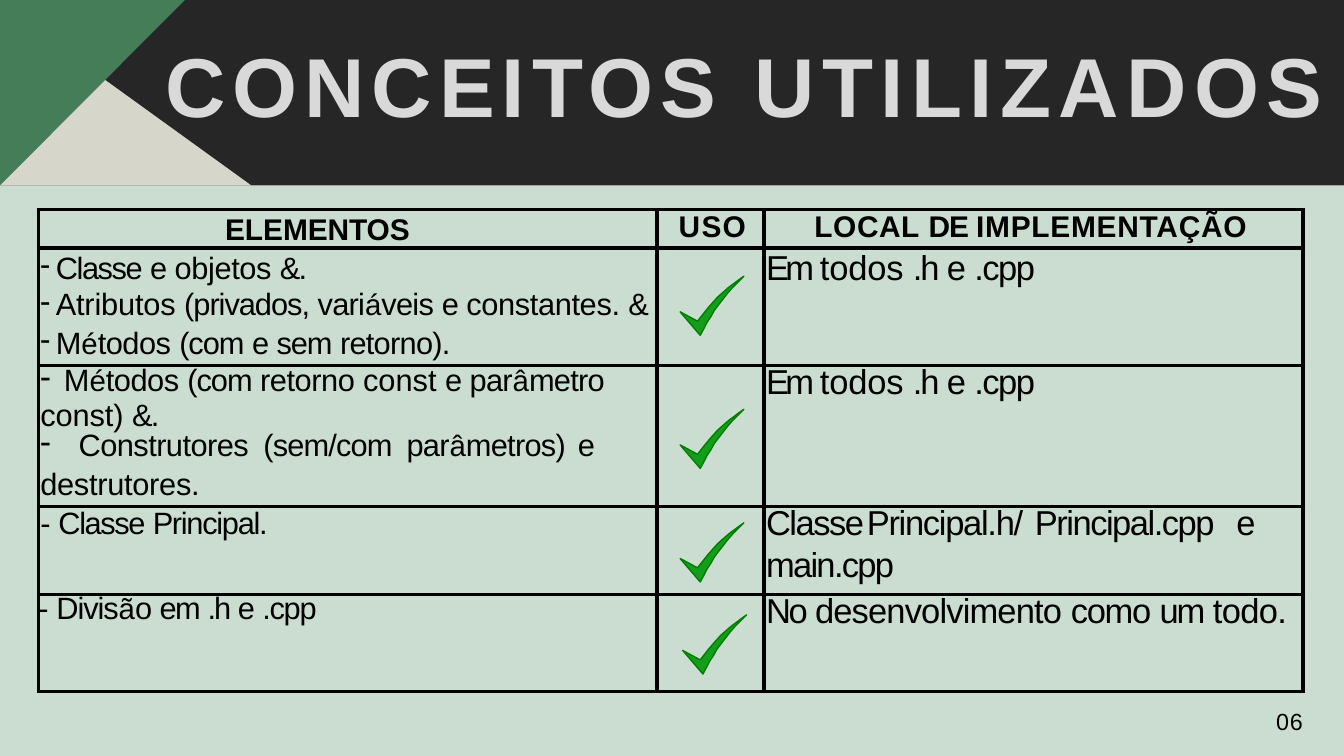
from dataclasses import dataclass
from itertools import groupby
from typing import NamedTuple, Optional

from lxml import etree
from pptx import Presentation
from pptx.dml.color import RGBColor
from pptx.enum.shapes import MSO_SHAPE
from pptx.enum.text import MSO_ANCHOR, MSO_AUTO_SIZE, PP_ALIGN
from pptx.oxml.ns import qn
from pptx.util import Inches, Pt

RECT = MSO_SHAPE.RECTANGLE
TOP = MSO_ANCHOR.TOP
GROW = MSO_AUTO_SIZE.SHAPE_TO_FIT_TEXT
LEFT, CENTER = PP_ALIGN.LEFT, PP_ALIGN.CENTER


@dataclass(frozen=True)
class Theme:
    mint: str = "CBDDD0"
    dark: str = "262626"
    cream: str = "F5F5E8"
    green: str = "457D58"
    tick: str = "129D1B"
    tick_edge: str = "007E00"
    title: str = "D9D9D9"
    ink: str = "000000"
    font: str = "Arial"
    title_size: float = 89.5
    head_size: float = 32
    item_size: float = 33
    accent_size: float = 31.5
    place_size: float = 37
    number_size: float = 25
    border: float = 4.25


T = Theme()


class Style(NamedTuple):
    size: float
    color: str = T.ink
    bold: bool = False
    accent: Optional[float] = None  # size of accented letters


TITLE = Style(T.title_size, T.title, True)
HEAD = Style(T.head_size, bold=True)
ITEM = Style(T.item_size, accent=T.accent_size)
PLACE = Style(T.place_size)
NUMBER = Style(T.number_size)


class Para(NamedTuple):
    runs: list  # (text, letter spacing in points)
    left: float = 0.03
    hang: float = 0
    line: Optional[float] = None
    before: float = 0
    bullet: Optional[int] = None  # dash size in percent
    tabs: tuple = ()
    align: PP_ALIGN = LEFT
    right: float = 0


class Cell(NamedTuple):
    style: Style
    paras: list
    top: float = 0


def rgb(value: str) -> RGBColor:
    return RGBColor.from_string(value)


def add_runs(p, runs: list, style: Style) -> None:
    for text, spacing in runs:
        for accented, chars in groupby(text, lambda c: style.accent is not None and c in "áâãé"):
            r = p.add_run()
            r.text = "".join(chars)
            r.font.size = Pt(style.accent if accented else style.size)
            r.font.name, r.font.bold = T.font, style.bold
            r.font.color.rgb = rgb(style.color)
            r.font._element.set("spc", str(round(spacing * 100)))


def write(tf, paras: list, style: Style) -> None:
    for i, para in enumerate(paras):
        p = tf.paragraphs[0] if i == 0 else tf.add_paragraph()
        p.alignment = para.align
        p.space_before = Pt(para.before)
        if para.line:
            p.line_spacing = Pt(para.line)
        pPr = p._p.get_or_add_pPr()
        for name, inches in (("marL", para.left), ("marR", para.right), ("indent", para.hang)):
            pPr.set(name, str(Inches(inches)))
        if para.bullet:
            etree.SubElement(pPr, qn("a:buSzPct")).set("val", str(para.bullet * 1000))
            etree.SubElement(pPr, qn("a:buChar")).set("char", "-")
        if para.tabs:
            tabs = etree.SubElement(pPr, qn("a:tabLst"))
            for pos in para.tabs:
                etree.SubElement(tabs, qn("a:tab"), pos=str(Inches(pos)), algn="l")
        add_runs(p, para.runs, style)


def paint(sp, fill: str, edge: Optional[str] = None, alpha: Optional[int] = None) -> None:
    sp.shadow.inherit = False
    sp.fill.solid()
    sp.fill.fore_color.rgb = rgb(fill)
    if alpha:
        color = sp._element.spPr.find(".//" + qn("a:srgbClr"))
        etree.SubElement(color, qn("a:alpha")).set("val", str(alpha * 1000))
    if edge:
        sp.line.color.rgb, sp.line.width = rgb(edge), Pt(1.5)
    else:
        sp.line.fill.background()


def add_rect(s, top: float, height: float, fill: str) -> None:
    paint(s.shapes.add_shape(RECT, 0, Inches(top), Inches(20), Inches(height)), fill)


def add_polygon(s, points: list, fill: str, edge: Optional[str] = None,
                alpha: Optional[int] = None) -> None:
    corners = [(Inches(x), Inches(y)) for x, y in points]
    builder = s.shapes.build_freeform(*corners[0])
    builder.add_line_segments(corners[1:], close=True)
    paint(builder.convert_to_shape(), fill, edge, alpha)


def setup_frame(tf, top: float) -> None:
    tf.margin_left = tf.margin_right = tf.margin_bottom = 0
    tf.margin_top = Inches(top)
    tf.vertical_anchor = TOP
    tf.word_wrap = True
    tf.auto_size = GROW


def border_cell(cell) -> None:
    tcPr = cell._tc.get_or_add_tcPr()
    for i, side in enumerate(("lnL", "lnR", "lnT", "lnB")):
        ln = etree.Element(qn("a:" + side), w=str(Pt(T.border)))
        fill = etree.SubElement(ln, qn("a:solidFill"))
        etree.SubElement(fill, qn("a:srgbClr")).set("val", T.ink)
        tcPr.insert(i, ln)


def add_grid(s, rows: list) -> None:
    widths, heights = (9.21, 1.59, 8.02), (0.57, 1.75, 2.1, 1.31, 1.44)
    tbl = s.shapes.add_table(len(heights), len(widths), Inches(0.57), Inches(3.12),
                             Inches(sum(widths)), Inches(sum(heights))).table
    tbl.first_row = tbl.horz_banding = False
    for col, width in zip(tbl.columns, widths):
        col.width = Inches(width)
    for row, height, contents in zip(tbl.rows, heights, rows):
        row.height = Inches(height)
        for cell, content in zip(row.cells, contents):
            if content:
                cell.fill.solid()
                cell.fill.fore_color.rgb = rgb(T.mint)
                cell.margin_left = cell.margin_right = cell.margin_bottom = 0
                cell.margin_top = Inches(content.top)
                write(cell.text_frame, content.paras, content.style)
            else:
                cell.fill.background()
            border_cell(cell)


# Tick outline, relative to its top left corner
TICK = [(0, 0.53), (0.3, 0.88), (0.35, 0.79), (0.4, 0.69), (0.46, 0.6), (0.51, 0.51),
        (0.57, 0.43), (0.64, 0.34), (0.71, 0.25), (0.78, 0.17), (0.86, 0.09), (0.95, 0),
        (0.88, 0.05), (0.8, 0.11), (0.72, 0.17), (0.64, 0.24), (0.56, 0.31), (0.48, 0.4),
        (0.41, 0.48), (0.33, 0.58), (0.26, 0.67)]
TICK_SPOTS = [(10.12, 4.11), (10.12, 6.09), (10.12, 7.78), (10.16, 9.15)]

ALL_FILES = [("Em ", -4), ("todos ", -0.2), (".h ", -2.4), ("e ", -1.4), (".cpp", -1.6)]

ROWS = [
    [Cell(HEAD, [Para([("ELEMENTOS", -0.1)], 0, line=36.8, before=3.5, align=CENTER, right=0.9)], 0.05),
     Cell(HEAD, [Para([("USO", 1.3)], 0.32, before=0.8)], 0.01),
     Cell(HEAD, [Para([("LOCAL ", 0.6), ("DE ", -1.2), ("IMPLEMENTAÇÃO", 0.8)], 0.75, before=0.5)], 0.01)],
    [Cell(ITEM, [
        Para([("Classe ", -1.5), ("e ", -1.3), ("objetos ", -0.4), ("&.", -1.9)],
             0.26, -0.23, 38.8, 2.1, 94, (0.26,)),
        Para([("Atributos ", -0.2), ("(privados, ", -1.1), ("variáveis ", -0.8), ("e ", -1.3),
              ("constantes. ", -0.4), ("&", -1.2)], 0.26, -0.23, 38.8, 0, 95, (0.26,)),
        Para([("Métodos ", -0.5), ("(com ", -1.1), ("e ", -1.3), ("sem ", -1.2), ("retorno).", -0.8)],
             0.26, -0.23, None, 4.4, 95, (0.26,))], 0.03),
     None,
     Cell(PLACE, [Para(ALL_FILES, before=1.2)], 0.02)],
    [Cell(ITEM, [
        Para([("Métodos ", -0.5), ("(com ", -1.1), ("retorno ", -0.5), ("const ", 0), ("e ", -1.3),
              ("parâmetro", -0.8)], 0.38, -0.35, 35.2, 0, 100, (0.38,)),
        Para([("const) ", -0.1), ("&.", -1.9)], line=32.5, before=4.3),
        Para([("Construtores\t", -0.6), ("(sem/com\t", -0.9), ("parâmetros)\t", -0.8), ("e", -1.3)],
             0.6, -0.57, 32.5, 0, 100, (0.6, 3.35, 5.48, 8.03)),
        Para([("destrutores.", -0.3)], before=4.3)]),
     None,
     Cell(PLACE, [Para(ALL_FILES, line=38.5)])],
    [Cell(ITEM, [Para([("- ", -0.7), ("Classe ", -1.5), ("Principal.", -1.4)], line=37.2)]),
     None,
     Cell(PLACE, [
         Para([("Classe\t", -1.6), ("Principal.h/\t", -1.4), ("Principal.cpp\t", -1.6), ("e", -1.4)],
              line=38.5, tabs=(1.83, 4.51, 7.55)),
         Para([("main.cpp", -1.8)], before=4.3)])],
    [Cell(ITEM, [Para([("- ", -0.7), ("Divisão ", -1.2), ("em ", -1.8), (".h ", -2.1), ("e ", -1.3),
                       (".cpp", -1.4)], 0, line=33.4)]),
     None,
     Cell(PLACE, [Para([("No ", -2.5), ("desenvolvimento ", -0.9), ("como ", -1.4), ("um ", -2.2),
                        ("todo.", -0.7)], line=38.5)])],
]


def main() -> None:
    prs = Presentation()
    prs.slide_width, prs.slide_height = Inches(20), Inches(11.25)
    s = prs.slides.add_slide(prs.slide_layouts[5])

    # Backdrop and header band
    add_rect(s, 2.76, 8.49, T.mint)
    add_rect(s, 0, 2.76, T.dark)
    add_polygon(s, [(3.74, 2.76), (0, 2.76), (0, 0.06)], T.cream, alpha=85)
    add_polygon(s, [(0, 2.76), (0, 0), (2.75, 0)], T.green)

    # Title, brought in front of the band
    title = s.shapes.title
    s.shapes.element.append(title.element)
    title.left, title.top, title.width, title.height = map(Inches, (2.45, 0.49, 17.43, 1.52))
    setup_frame(title.text_frame, 0.01)
    write(title.text_frame, [Para([("CONCEITOS ", 7.6), ("UTILIZADOS", 8)], 0.01, before=0.9)], TITLE)

    # Table of concepts with a tick in each row
    add_grid(s, ROWS)
    for left, top in TICK_SPOTS:
        add_polygon(s, [(left + x, top + y) for x, y in TICK], T.tick, T.tick_edge)

    # Page number
    tf = s.shapes.add_textbox(*map(Inches, (18.98, 10.58, 0.44, 0.37))).text_frame
    setup_frame(tf, 0)
    write(tf, [Para([("06", 1)], 0.01, line=25.6)], NUMBER)

    prs.save("out.pptx")


if __name__ == "__main__":
    main()
